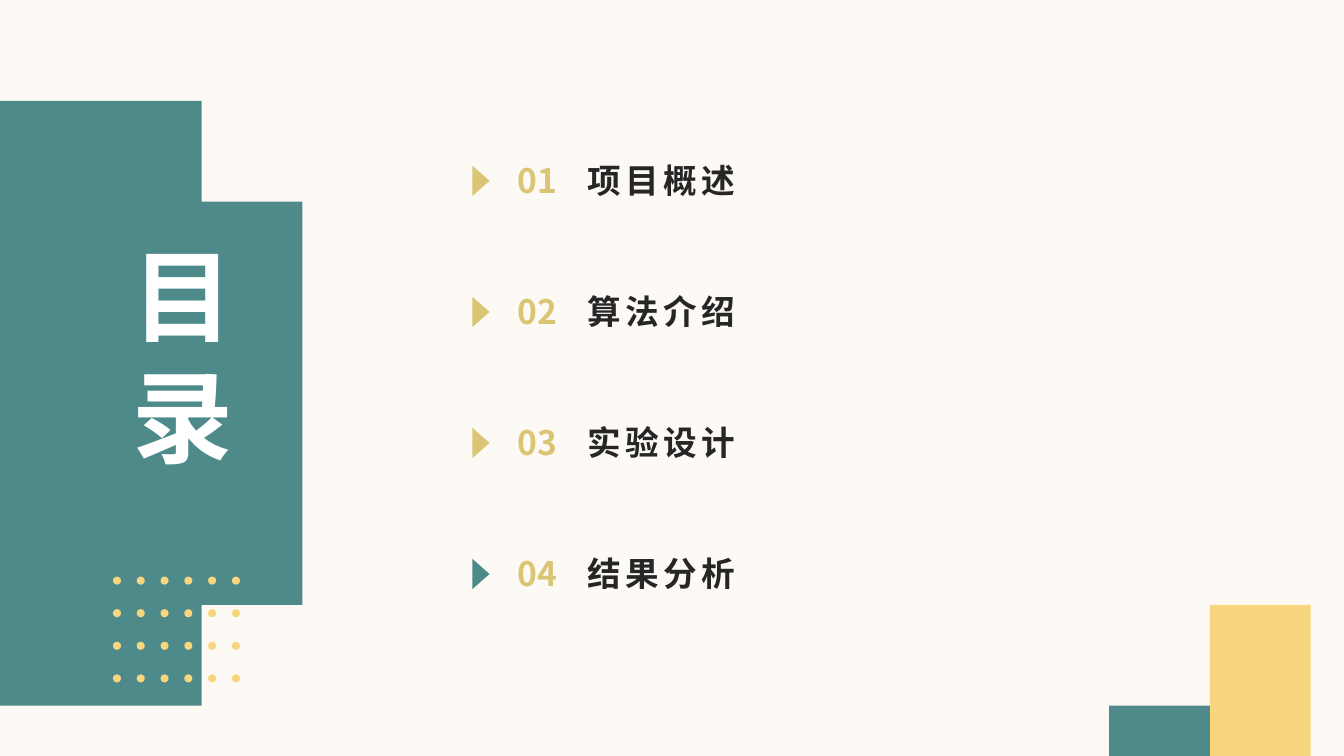
"""Build the contents slide with four numbered chapters."""
import math

import lxml.etree
import pptx
import pptx.dml.color
import pptx.enum.shapes
import pptx.enum.text
import pptx.oxml.ns
import pptx.util

RGBColor = pptx.dml.color.RGBColor
Inches = pptx.util.Inches
SHAPE = pptx.enum.shapes.MSO_SHAPE
ALIGN = pptx.enum.text.PP_ALIGN
ANCHOR = pptx.enum.text.MSO_ANCHOR

CREAM = RGBColor(0xFD, 0xFA, 0xF5)
TEAL = RGBColor(0x4F, 0x8A, 0x8B)
YELLOW = RGBColor(0xF8, 0xD6, 0x7E)
GOLD = RGBColor(0xD9, 0xC5, 0x73)
INK = RGBColor(0x26, 0x26, 0x26)
WHITE = RGBColor(0xFF, 0xFF, 0xFF)
CJK_FONT = "Noto Sans CJK SC"

WIDTH, HEIGHT = 13.33, 7.5
DOT_COLS, DOT_ROWS, DOT_SIZE = 6, 4, 0.08
ROW_TOP, ROW_PITCH = 1.63, 1.3
CHAPTERS = ["项目概述", "算法介绍", "实验设计", "结果分析"]

prs = pptx.Presentation()
prs.slide_width, prs.slide_height = Inches(WIDTH), Inches(HEIGHT)
s = prs.slides.add_slide(prs.slide_layouts[6])
s.background.fill.solid()
s.background.fill.fore_color.rgb = CREAM


def paint(sp, color):
    """Give a shape a plain fill without line or shadow."""
    sp.shadow.inherit = False
    sp.fill.solid()
    sp.fill.fore_color.rgb = color
    sp.line.fill.background()


def add_text(text, box, size, font, color, align, spacing):
    """Add a bold one-paragraph text box and return its text frame."""
    tf = s.shapes.add_textbox(*map(Inches, box)).text_frame
    tf.margin_left = tf.margin_top = tf.margin_right = tf.margin_bottom = 0
    tf.word_wrap = True
    p = tf.paragraphs[0]
    p.text, p.alignment, p.line_spacing = text, align, spacing
    p.font.size, p.font.name, p.font.bold = pptx.util.Pt(size), font, True
    p.font.color.rgb = color
    ea = lxml.etree.SubElement(p.font._rPr, pptx.oxml.ns.qn("a:ea"))
    ea.set("typeface", CJK_FONT)
    return tf


discs = [
    (0.16, 4.03, 3.13, 92.9, -92.9, [], TEAL),
    (12.64, 6.75, 0.74, 180, 21, [(WIDTH, HEIGHT), (11.9, HEIGHT)], YELLOW),
    (11.96, HEIGHT, 0.47, 180, 0, [], TEAL),
]
for cx, cy, radius, start, end, corners, color in discs:
    angles = [math.radians(start + (end - start) * i / 120) for i in range(121)]
    points = [(cx + radius * math.cos(a), cy - radius * math.sin(a)) for a in angles]
    builder = s.shapes.build_freeform(*points[0], scale=Inches(1))
    builder.add_line_segments(points[1:] + corners, close=True)
    paint(builder.convert_to_shape(), color)

for row in range(DOT_ROWS):
    for col in range(DOT_COLS):
        left = 1.12 + 1.18 * col / (DOT_COLS - 1)
        top = 5.72 + 0.97 * row / (DOT_ROWS - 1)
        sp = s.shapes.add_shape(SHAPE.OVAL, *map(Inches, (left, top, DOT_SIZE, DOT_SIZE)))
        paint(sp, YELLOW)

tf = add_text("目录", (0.92, 1.95, 1.39, 2.94), 72, "Arial", WHITE,
              ALIGN.RIGHT, pptx.util.Pt(86))
tf.vertical_anchor = ANCHOR.MIDDLE
tf.margin_top = Inches(0.2)

for i, chapter in enumerate(CHAPTERS):
    top = ROW_TOP + ROW_PITCH * i
    sp = s.shapes.add_shape(SHAPE.ISOSCELES_TRIANGLE,
                            *map(Inches, (4.62, top + 0.08, 0.3, 0.17)))
    sp.rotation = 90
    paint(sp, TEAL if i == len(CHAPTERS) - 1 else GOLD)
    tf = add_text(f"{i + 1:02d}", (4.97, top, 0.72, 1.07), 24, CJK_FONT, GOLD,
                  ALIGN.CENTER, 0.9)
    tf.word_wrap = False
    tf = add_text(chapter, (5.83, top, 4.6, 1.07), 24, CJK_FONT, INK, ALIGN.LEFT, 0.9)
    tf.paragraphs[0].font._rPr.set("spc", "300")

prs.save("out.pptx")
